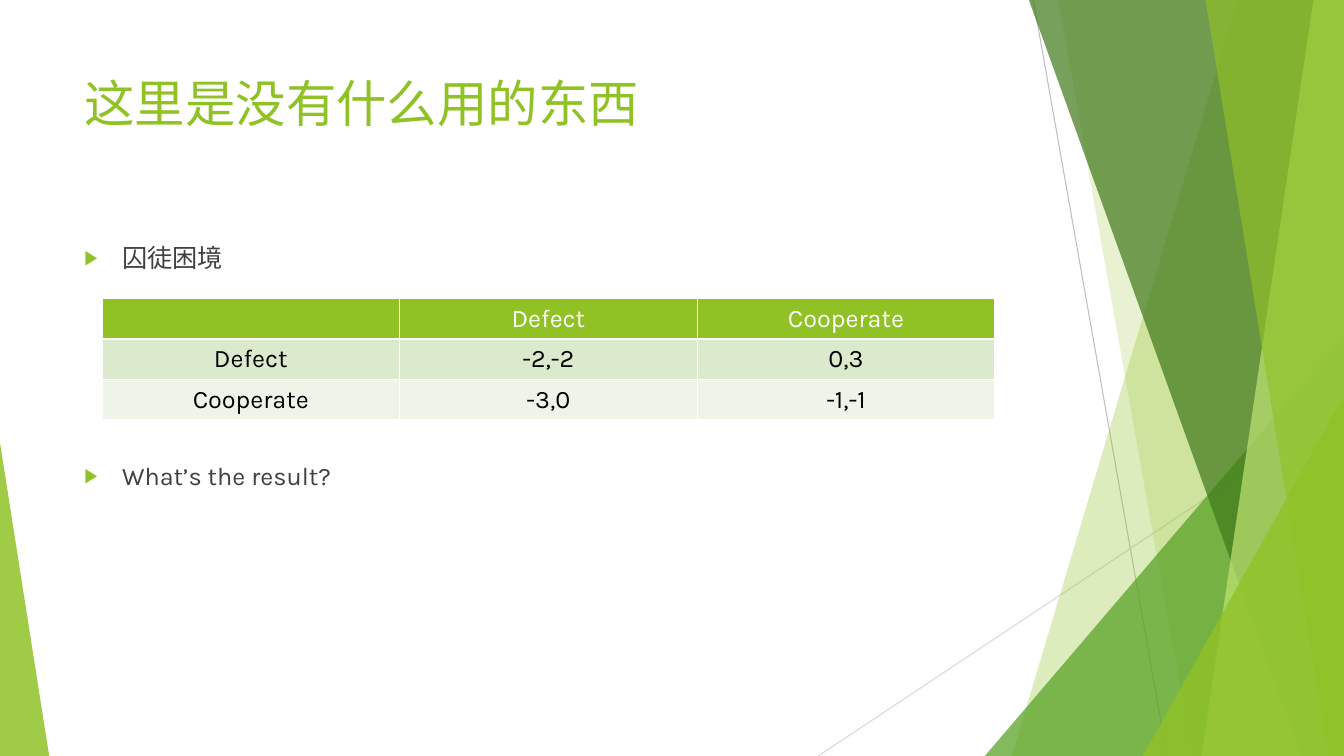
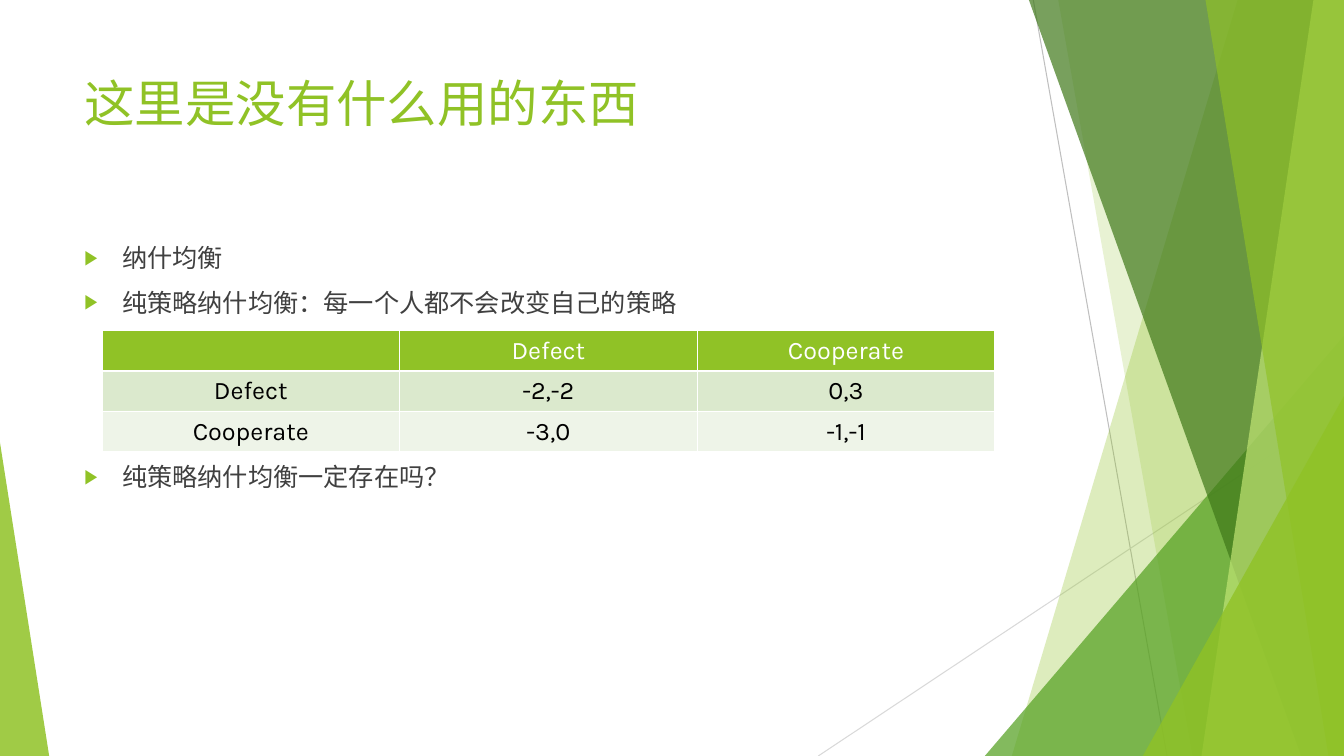
from lxml import etree
from pptx import Presentation
from pptx.dml.color import RGBColor
from pptx.enum.shapes import MSO_CONNECTOR, MSO_SHAPE
from pptx.enum.text import MSO_ANCHOR, PP_ALIGN
from pptx.oxml.ns import qn
from pptx.util import Cm, Pt

STRAIGHT = MSO_CONNECTOR.STRAIGHT
TRIANGLE = MSO_SHAPE.ISOSCELES_TRIANGLE
TOP, MIDDLE = MSO_ANCHOR.TOP, MSO_ANCHOR.MIDDLE
CENTER = PP_ALIGN.CENTER

COLORS = {
    "lime": "90C226", "green": "54A021", "forest": "3F7819", "pale": "C0E474",
    "gray": "BFBFBF", "light_gray": "D9D9D9", "text": "404040",
    "white": "FFFFFF", "black": "000000",
    "odd_row": "DBE9CD", "even_row": "EEF4E8",
}
WIDTH, HEIGHT = Cm(33.87), Cm(19.05)

# Shared decoration, from back to front
RAYS = [  # x1, y1, x2, y2, colour
    (26.04, 0, 29.41, 19.05, "gray"),
    (33.87, 10.24, 20.62, 19.05, "light_gray"),
]
FACETS = [  # bands: top x, bottom x; corners: left, top, width, apex; opacity in %
    ("band", (31.19, 25.5), "lime", 30),
    ("band", (26.67, 30.05), "lime", 20),
    ("corner", (24.82, 8.46, 9.05, 1), "green", 72),
    ("band", (25.93, 32.79), "forest", 70),
    ("band", (33.1, 30.28), "pale", 70),
    ("band", (30.38, 33.48), "lime", 65),
    ("corner", (28.8, 9.98, 5.07, 1), "lime", 80),
    ("corner", (0, 11.15, 1.24, 0), "lime", 85),
]

# Text styles and content
TITLE_FORMAT = {"name": "Karla", "size": Pt(36)}
BODY_FORMAT = {"name": "Karla", "size": Pt(18)}
BULLET_GAP = 10
LINE_STEP = 31.05  # one body line with its gap, in points
TITLE = "这里是没有什么用的东西"
PAYOFFS = [
    ["", "Defect", "Cooperate"],
    ["Defect", "-2,-2", "0,3"],
    ["Cooperate", "-3,0", "-1,-1"],
]
ROW_STYLES = [("lime", "white"), ("odd_row", "black"), ("even_row", "black")]
SLIDES = [  # bullets as (text, lines left free above), top of the table
    ([("囚徒困境", 0), ("What’s the result?", 4)], 7.52),
    ([("纳什均衡", 0),
      ("纯策略纳什均衡：每一个人都不会改变自己的策略", 0),
      ("纯策略纳什均衡一定存在吗？", 3)], 8.33),
]


def rgb(color):
    return RGBColor.from_string(COLORS[color])


def write(paragraph, text, text_format, color):
    run = paragraph.add_run()
    run.text = text
    for attribute, value in text_format.items():
        setattr(run.font, attribute, value)
    run.font.color.rgb = rgb(color)


prs = Presentation()
prs.slide_width, prs.slide_height = WIDTH, HEIGHT

for bullets, table_top in SLIDES:
    slide = prs.slides.add_slide(prs.slide_layouts[6])
    shapes = slide.shapes

    # Thin rays
    for x1, y1, x2, y2, color in RAYS:
        ray = shapes.add_connector(STRAIGHT, Cm(x1), Cm(y1), Cm(x2), Cm(y2))
        ray.line.color.rgb = rgb(color)
        ray.line.width = Pt(0.75)
        etree.SubElement(ray._element.spPr, qn("a:effectLst"))

    # Translucent facets
    for kind, place, color, opacity in FACETS:
        if kind == "band":
            top_x, bottom_x = place
            outline = shapes.build_freeform(Cm(top_x), 0)
            outline.add_line_segments(
                [(WIDTH, 0), (WIDTH, HEIGHT), (Cm(bottom_x), HEIGHT)])
            facet = outline.convert_to_shape()
        else:
            left, top, width, apex = place
            facet = shapes.add_shape(
                TRIANGLE, Cm(left), Cm(top), Cm(width), HEIGHT - Cm(top))
            facet.adjustments[0] = apex
        facet.shadow.inherit = False
        facet.line.fill.background()
        facet.fill.solid()
        facet.fill.fore_color.rgb = rgb(color)
        tint = facet._element.spPr.find(qn("a:solidFill"))[0]
        etree.SubElement(tint, qn("a:alpha"), val=str(opacity * 1000))

    # Title and bullets
    title, body = [
        shapes.add_textbox(Cm(1.88), Cm(top), Cm(23.88), Cm(height)).text_frame
        for top, height in [(1.7, 3.66), (5.99, 10.77)]]
    for frame in (title, body):
        frame.word_wrap = True
        frame.vertical_anchor = TOP
    write(title.paragraphs[0], TITLE, TITLE_FORMAT, "lime")

    for number, (text, free_lines) in enumerate(bullets):
        paragraph = body.add_paragraph() if number else body.paragraphs[0]
        props = paragraph._p.get_or_add_pPr()
        props.set("marL", str(Cm(0.95)))
        props.set("indent", str(-Cm(0.95)))
        bullet_color = etree.SubElement(props, qn("a:buClr"))
        etree.SubElement(bullet_color, qn("a:srgbClr"), val=COLORS["lime"])
        etree.SubElement(props, qn("a:buSzPct"), val="80000")
        etree.SubElement(props, qn("a:buFont"), typeface="Arial")
        etree.SubElement(props, qn("a:buChar"), char="▶")
        if number:
            paragraph.space_before = Pt(BULLET_GAP + free_lines * LINE_STEP)
        write(paragraph, text, BODY_FORMAT, "text")

    # Payoff table
    payoffs = shapes.add_table(
        3, 3, Cm(2.57), Cm(table_top), Cm(22.5), Cm(3.06)).table
    for row, (values, (fill, color)) in enumerate(zip(PAYOFFS, ROW_STYLES)):
        payoffs.rows[row].height = Cm(1.02)
        for column, value in enumerate(values):
            cell = payoffs.cell(row, column)
            cell.vertical_anchor = MIDDLE
            cell_props = cell._tc.get_or_add_tcPr()
            for side in ("lnL", "lnR", "lnT", "lnB"):
                border = etree.SubElement(cell_props, qn("a:" + side), w=str(Pt(1)))
                paint = etree.SubElement(border, qn("a:solidFill"))
                etree.SubElement(paint, qn("a:srgbClr"), val=COLORS["white"])
            cell.fill.solid()
            cell.fill.fore_color.rgb = rgb(fill)
            if value:
                paragraph = cell.text_frame.paragraphs[0]
                paragraph.alignment = CENTER
                write(paragraph, value, {**BODY_FORMAT, "bold": False}, color)

prs.save("out.pptx")
